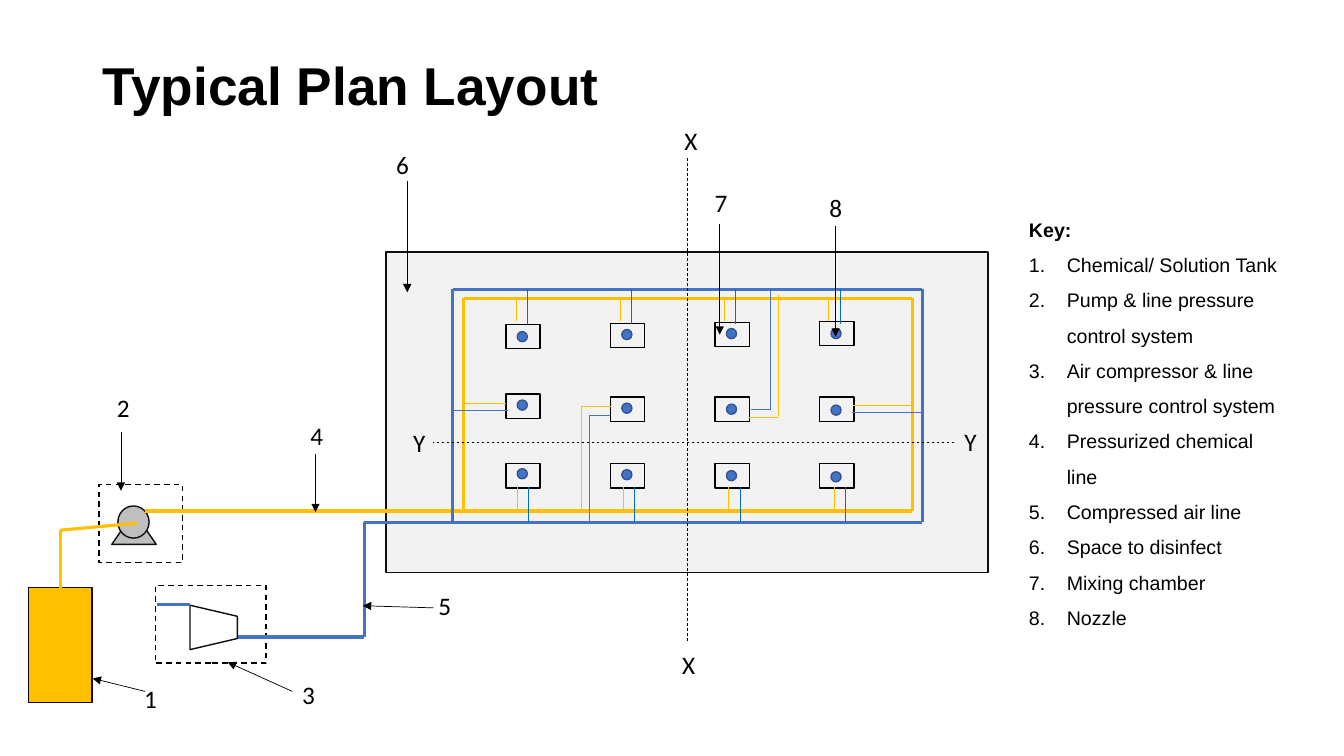
from dataclasses import dataclass
from itertools import pairwise

import pptx
import pptx.dml.color
import pptx.enum.dml
import pptx.enum.shapes
import pptx.enum.text
import pptx.oxml
import pptx.oxml.ns
import pptx.util

Pt = pptx.util.Pt
MSO_SHAPE = pptx.enum.shapes.MSO_SHAPE
Point = tuple[float, float]

COLORS = {
    "black": "000000", "outline": "0D0D0D", "space": "F2F2F2", "pump": "BFBFBF",
    "white": "FFFFFF", "chemical": "FFC000", "air": "4472C4", "drop": "0070C0",
    "nozzle edge": "325491",
}
MAIN, THIN = 2.25, 0.5
COLUMN_STEP = 74.7


@dataclass
class Box:
    kind: int
    left: float
    top: float
    width: float
    height: float
    fill: str | None = None
    line: str = "outline"
    dashed: bool = False
    rotation: float = 0


@dataclass
class Route:
    color: str
    width: float
    points: list[Point]


@dataclass
class Callout:
    text: str
    label: Point
    start: Point
    end: Point


@dataclass
class Row:
    chamber_tops: tuple[float, ...]
    nozzle_tops: tuple[float, ...]


KEY = [
    "Chemical/ Solution Tank", "Pump & line pressure control system",
    "Air compressor & line pressure control system", "Pressurized chemical line",
    "Compressed air line", "Space to disinfect", "Mixing chamber", "Nozzle",
]

SPACE = Box(MSO_SHAPE.RECTANGLE, 275.8, 180, 430, 229, "space")
TANK = Box(MSO_SHAPE.RECTANGLE, 20.2, 419.8, 45.6, 82, "chemical")
EQUIPMENT = [
    Box(MSO_SHAPE.ISOSCELES_TRIANGLE, 79.9, 365.8, 31.7, 23, "pump"),
    Box(MSO_SHAPE.OVAL, 84.2, 361.4, 22.3, 23, "pump"),
    Box(MSO_SHAPE.TRAPEZOID, 136.8, 431.3, 31.7, 33.8, "white", rotation=90),
    Box(MSO_SHAPE.RECTANGLE, 70.6, 346.3, 59.8, 55.4, line="black", dashed=True),
    Box(MSO_SHAPE.RECTANGLE, 110.9, 418.3, 79.2, 55.4, line="black", dashed=True),
]
ROWS = [
    Row((231.8, 231.1, 230.4, 229.7), (236.9, 235.4, 234.7, 234.7)),
    Row((281.5, 283.7, 283.7, 283.7), (285.8, 288, 288.7, 289.4)),
    Row((331.2, 331.2, 331.2, 331.2), (334.8, 335.5, 336.2, 337)),
]
MAINS = [
    Route("chemical", MAIN, [(43.2, 378.7), (97.9, 373.7)]),
    Route("chemical", MAIN, [(103.7, 365), (651.6, 365), (651.6, 213.1),
                             (331.2, 213.1), (331.2, 365)]),
    Route("air", MAIN, [(135.4, 432), (112.3, 432)]),
    Route("air", MAIN, [(169.9, 455), (260.3, 455), (260.3, 373), (658.8, 373),
                        (658.8, 206.6), (323.3, 206.6), (323.3, 373)]),
]
MIDDLE_BRANCHES = [
    Route("chemical", THIN, [(330.5, 288), (361.4, 288)]),
    Route("air", THIN, [(323.3, 293), (362.9, 293)]),
    Route("chemical", THIN, [(609.1, 289.4), (652.3, 289.4)]),
    Route("air", THIN, [(608.4, 294.5), (658.8, 294.5)]),
    Route("chemical", THIN, [(415.4, 364), (415.4, 290.2), (436.3, 290.2)]),
    Route("air", THIN, [(421.2, 374), (421.2, 296.6), (435.6, 296.6)]),
    Route("chemical", THIN, [(556, 211), (556, 298.1), (535, 298.1)]),
    Route("air", THIN, [(550.4, 206.6), (550.4, 292.3), (536.4, 292.3)]),
]
CALLOUTS = [
    Callout("1", (95.8, 484.6), (103.7, 493.9), (66.2, 484.6)),
    Callout("2", (76.3, 276.5), (86.4, 308.9), (86.4, 350.6)),
    Callout("3", (208.8, 481.7), (208.8, 493.9), (162.7, 473)),
    Callout("4", (214.6, 296.6), (225.4, 324), (225.4, 365.8)),
    Callout("5", (306, 418.3), (309.6, 434.2), (259.2, 432.7)),
    Callout("6", (275.8, 103), (290.9, 129.6), (290.9, 208.8)),
    Callout("7", (503.3, 130.3), (514.1, 159.8), (514.1, 239)),
    Callout("8", (585.4, 133.9), (596.9, 161.3), (596.9, 240.5)),
]
SECTION_LINES = [[(681.8, 316.1), (309.6, 316.1)], [(491, 457.9), (491, 112.3)]]
SECTION_LABELS = [("X", (481.7, 85.7)), ("X", (480.2, 460.1)),
                  ("Y", (681.8, 301)), ("Y", (288, 301.7))]


def rgb(name: str) -> pptx.dml.color.RGBColor:
    return pptx.dml.color.RGBColor.from_string(COLORS[name])


def add_box(s, box: Box):
    sp = s.shapes.add_shape(box.kind, Pt(box.left), Pt(box.top), Pt(box.width), Pt(box.height))
    sp.shadow.inherit = False
    sp.rotation = box.rotation
    if box.fill:
        sp.fill.solid()
        sp.fill.fore_color.rgb = rgb(box.fill)
    else:
        sp.fill.background()
    sp.line.color.rgb = rgb(box.line)
    sp.line.width = Pt(1)
    if box.dashed:
        sp.line.dash_style = pptx.enum.dml.MSO_LINE.DASH
    return sp


def add_line(s, start: Point, end: Point, color: str, width: float,
             dashed: bool = False, arrow: bool = False):
    ends = [Pt(v) for v in (*start, *end)]
    cx = s.shapes.add_connector(pptx.enum.shapes.MSO_CONNECTOR.STRAIGHT, *ends)
    cx.line.color.rgb = rgb(color)
    cx.line.width = Pt(width)
    if dashed:
        cx.line.dash_style = pptx.enum.dml.MSO_LINE.DASH
    if arrow:
        tail = pptx.oxml.parse_xml(f'<a:tailEnd {pptx.oxml.ns.nsdecls("a")} type="triangle"/>')
        cx.line._get_or_add_ln().append(tail)
    cx._element.spPr.append(pptx.oxml.parse_xml(f'<a:effectLst {pptx.oxml.ns.nsdecls("a")}/>'))
    return cx


def add_route(s, route: Route) -> None:
    for start, end in pairwise(route.points):
        add_line(s, start, end, route.color, route.width)


def add_run(p, text: str, size: float, font: str = "Arial", bold: bool = False) -> None:
    r = p.add_run()
    r.text = text
    r.font.name, r.font.size, r.font.bold = font, Pt(size), bold
    r.font.color.rgb = rgb("black")


def add_label(s, text: str, at: Point) -> None:
    tf = s.shapes.add_textbox(Pt(at[0]), Pt(at[1]), Pt(39.6), Pt(29)).text_frame
    tf.word_wrap = True
    add_run(tf.paragraphs[0], text, 18, "Calibri")


def add_title(s) -> None:
    sp = s.shapes.title
    sp.left, sp.top, sp.width, sp.height = Pt(66.2), Pt(28.8), Pt(828), Pt(68.4)
    tf = sp.text_frame
    tf.auto_size = pptx.enum.text.MSO_AUTO_SIZE.NONE
    tf.vertical_anchor = pptx.enum.text.MSO_ANCHOR.MIDDLE
    p = tf.paragraphs[0]
    p.alignment = pptx.enum.text.PP_ALIGN.LEFT
    p.line_spacing = 0.9
    add_run(p, "Typical Plan Layout", 38, bold=True)


def add_key(s) -> None:
    tf = s.shapes.add_textbox(Pt(727.9), Pt(151.9), Pt(198), Pt(301)).text_frame
    tf.word_wrap = True
    add_run(tf.paragraphs[0], "Key:", 14, bold=True)
    for item in KEY:
        p = tf.add_paragraph()
        p.line_spacing = 1.5
        pPr = p._p.get_or_add_pPr()
        pPr.set("marL", str(Pt(27)))
        pPr.set("indent", str(-Pt(27)))
        pPr.append(pptx.oxml.parse_xml(
            f'<a:buAutoNum {pptx.oxml.ns.nsdecls("a")} type="arabicPeriod"/>'))
        add_run(p, item, 14)


def add_chambers(s) -> None:
    """Draw the grid of mixing chambers and nozzles with the outer rows' feed lines."""
    for row in ROWS:
        for col, (top, nozzle_top) in enumerate(zip(row.chamber_tops, row.nozzle_tops)):
            shift = col * COLUMN_STEP
            add_box(s, Box(MSO_SHAPE.RECTANGLE, 361.4 + shift, top, 24.5, 17.3, line="black"))
            add_box(s, Box(MSO_SHAPE.OVAL, 369.5 + shift, nozzle_top, 7.2, 7.2,
                           "air", "nozzle edge"))
    for col in range(4):
        upper, lower = 368.6 + 74.4 * col, 369.4 + 75.6 * col
        add_line(s, (lower, 365), (lower, 348), "chemical", THIN)
        add_line(s, (lower + 8, 373), (lower + 8, 348), "drop", THIN)
        add_line(s, (upper, 229.5), (upper, 212.2), "chemical", THIN)
        add_line(s, (upper + 8.2, 231.5), (upper + 8.2, 206.4), "drop", THIN)


def main() -> None:
    prs = pptx.Presentation()
    prs.slide_width, prs.slide_height = Pt(960), Pt(540)
    s = prs.slides.add_slide(prs.slide_layouts[5])
    add_title(s)
    add_box(s, SPACE)
    add_key(s)
    for box in EQUIPMENT:
        add_box(s, box)
    tank = add_box(s, TANK)
    add_line(s, (43, 419.8), (43, 378.7), "chemical", MAIN).begin_connect(tank, 0)
    for route in MAINS:
        add_route(s, route)
    add_chambers(s)
    for route in MIDDLE_BRANCHES:
        add_route(s, route)
    for c in CALLOUTS:
        add_line(s, c.start, c.end, "black", THIN, arrow=True)
        add_label(s, c.text, c.label)
    for start, end in SECTION_LINES:
        add_line(s, start, end, "black", THIN, dashed=True)
    for text, at in SECTION_LABELS:
        add_label(s, text, at)
    prs.save("out.pptx")


if __name__ == "__main__":
    main()
